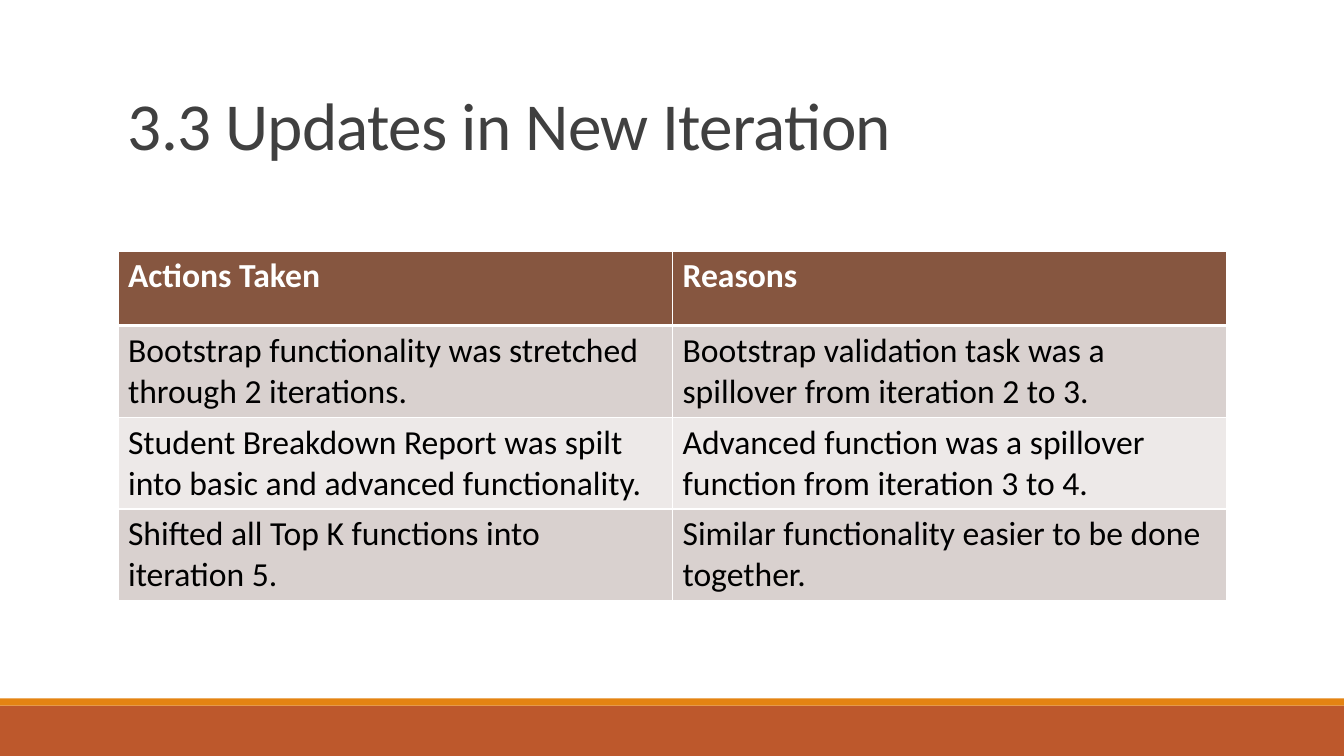
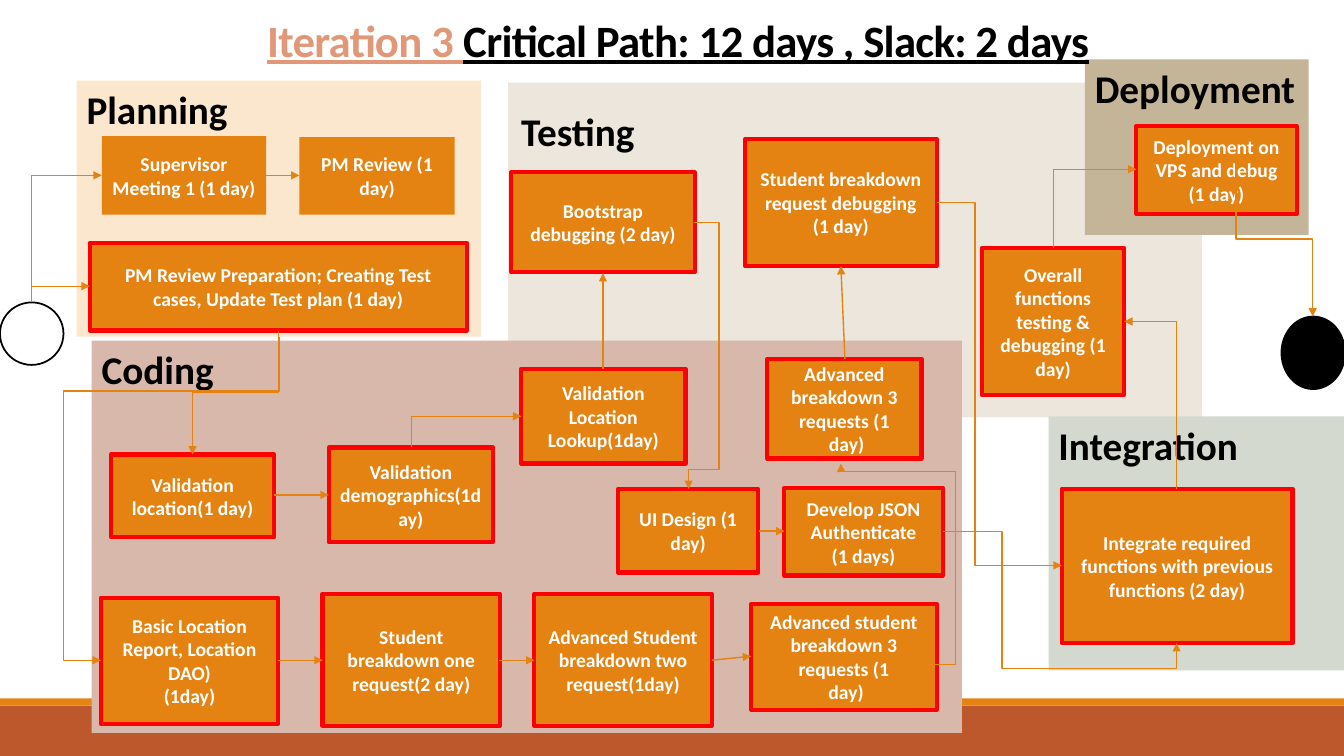
"""Build two project slides: an iteration update table and a critical path diagram."""
from dataclasses import dataclass
from math import copysign

from lxml.etree import SubElement
from pptx import Presentation
from pptx.dml.color import RGBColor
from pptx.enum.shapes import MSO_CONNECTOR, MSO_SHAPE
from pptx.enum.text import MSO_ANCHOR, PP_ALIGN
from pptx.oxml.ns import qn
from pptx.util import Inches, Pt


@dataclass(frozen=True)
class Theme:
    font: str = "Calibri"
    title: str = "404040"
    salmon: str = "E09878"
    rust: str = "BD582C"
    orange: str = "E48312"
    critical: str = "FF0000"
    brown: str = "865640"
    band_dark: str = "D9D1CF"
    band_light: str = "EDE9E8"
    planning: str = "FBE6CE"
    coding: str = "D7B8AB"
    testing: str = "ECE6DD"
    deployment: str = "C5B598"
    integration: str = "D4D9CF"
    black: str = "000000"
    white: str = "FFFFFF"
    title_size: int = 48
    path_title_size: int = 32
    zone_size: int = 28
    table_size: int = 24
    task_size: int = 14


T = Theme()


def write(tf, text, size, color=T.black, bold=False, underline=False, align=PP_ALIGN.LEFT,
          anchor=MSO_ANCHOR.TOP, leading=None, spacing=None):
    tf.word_wrap = True
    tf.vertical_anchor = anchor
    parts = [(text, color)] if isinstance(text, str) else text
    p = tf.paragraphs[0]
    for part, part_color in parts:
        for i, line in enumerate(part.split("\n")):
            if i:
                p = tf.add_paragraph()
            p.alignment = align
            p.line_spacing = leading
            r = p.add_run()
            r.text = line
            r.font.name = T.font
            r.font.size = Pt(size)
            r.font.bold = bold
            r.font.underline = underline
            r.font.color.rgb = RGBColor.from_string(part_color)
            if spacing:
                r.font._element.set("spc", str(int(spacing * 100)))


def add_box(slide, kind, at, fill, line=None, width=1.25):
    sp = slide.shapes.add_shape(kind, *map(Inches, at))
    sp.shadow.inherit = False
    sp.fill.solid()
    sp.fill.fore_color.rgb = RGBColor.from_string(fill)
    if line:
        sp.line.color.rgb = RGBColor.from_string(line)
        sp.line.width = Pt(width)
    else:
        sp.line.fill.background()
    return sp


prs = Presentation()
prs.slide_width, prs.slide_height = Inches(13.33), Inches(7.5)

slides = []
for _ in range(2):
    slide = prs.slides.add_slide(prs.slide_layouts[6])
    add_box(slide, MSO_SHAPE.RECTANGLE, (0, 7, 13.33, 0.5), T.rust)
    add_box(slide, MSO_SHAPE.RECTANGLE, (0, 6.93, 13.33, 0.07), T.orange)
    slides.append(slide)
updates, path_slide = slides

tb = updates.shapes.add_textbox(Inches(1.17), Inches(0.9), Inches(11), Inches(1.59))
write(tb.text_frame, "3.3 Updates in New Iteration", T.title_size, color=T.title,
      leading=0.85, spacing=-0.5)

rows = [
    ("Actions Taken", "Reasons"),
    ("Bootstrap functionality was stretched through 2 iterations.",
     "Bootstrap validation task was a spillover from iteration 2 to 3."),
    ("Student Breakdown Report was spilt into basic and advanced functionality.",
     "Advanced function was a spillover function from iteration 3 to 4."),
    ("Shifted all Top K functions into iteration 5.",
     "Similar functionality easier to be done together."),
]
table = updates.shapes.add_table(len(rows), 2, Inches(1.17), Inches(2.49),
                                 Inches(11), Inches(3.47)).table
for i, row in enumerate(rows):
    header = i == 0
    table.rows[i].height = Inches(0.74 if header else 0.91)
    fill = T.brown if header else (T.band_dark if i % 2 else T.band_light)
    for j, text in enumerate(row):
        cell = table.cell(i, j)
        write(cell.text_frame, text, T.table_size, bold=header,
              color=T.white if header else T.black)
        tcPr = cell._tc.get_or_add_tcPr()
        for side in "LRTB":
            thick = (header and side == "B") or (i == 1 and side == "T")
            ln = SubElement(tcPr, qn(f"a:ln{side}"), w=str(Pt(3 if thick else 1)))
            SubElement(SubElement(ln, qn("a:solidFill")), qn("a:srgbClr"), val=T.white)
        cell.fill.solid()
        cell.fill.fore_color.rgb = RGBColor.from_string(fill)

zones = [
    ("", (5.04, 0.82, 6.88, 3.32), T.testing),
    ("Planning", (0.76, 0.8, 4.01, 2.54), T.planning),
    ("Coding", (0.91, 3.38, 8.63, 3.89), T.coding),
    ("Deployment", (10.76, 0.59, 2.22, 1.74), T.deployment),
    ("Integration", (10.4, 4.13, 2.93, 2.52), T.integration),
]
for name, at, fill in zones:
    sp = add_box(path_slide, MSO_SHAPE.RECTANGLE, at, fill)
    if name:
        write(sp.text_frame, name, T.zone_size, bold=True)
tb = path_slide.shapes.add_textbox(Inches(5.07), Inches(1.02), Inches(2.63), Inches(0.57))
write(tb.text_frame, "Testing", T.zone_size, bold=True)

add_box(path_slide, MSO_SHAPE.OVAL, (0, 3, 0.63, 0.62), T.white, T.black)
add_box(path_slide, MSO_SHAPE.OVAL, (12.71, 3.14, 0.63, 0.72), T.black, T.black)

critical_tasks = [
    ("PM Review Preparation; Creating Test cases, Update Test plan (1 day)",
     (0.89, 2.41, 3.74, 0.87)),
    ("Validation location(1 day)", (1.1, 4.51, 1.62, 0.82)),
    ("Validation demographics(1day)", (3.26, 4.44, 1.63, 0.94)),
    ("Validation Location Lookup(1day)", (5.17, 3.66, 1.63, 0.94)),
    ("Basic Location Report, Location DAO)\n(1day)", (1, 5.93, 1.76, 1.25)),
    ("Student breakdown one request(2 day)", (3.2, 5.89, 1.76, 1.31)),
    ("Advanced Student breakdown two request(1day)", (5.3, 5.89, 1.76, 1.31)),
    ("Advanced student breakdown 3 requests (1\n day)", (7.45, 5.99, 1.84, 1.05)),
    ("Advanced breakdown 3 requests (1\n day)", (7.61, 3.56, 1.53, 0.99)),
    ("UI Design (1 day)", (6.13, 4.85, 1.39, 0.83)),
    ("Develop JSON Authenticate\n(1 days)", (7.78, 4.84, 1.57, 0.87)),
    ("Bootstrap debugging (2 day)", (5.07, 1.71, 1.82, 0.99)),
    ("Student breakdown request debugging (1 day)", (7.39, 1.38, 1.9, 1.26)),
    ("Overall functions testing & debugging (1 day)", (9.74, 2.46, 1.41, 1.46)),
    ("Integrate required functions with previous functions (2 day)",
     (10.53, 4.85, 2.29, 1.53)),
    ("Deployment on VPS and debug (1 day)", (11.27, 1.25, 1.59, 0.87)),
]
other_tasks = [
    ("Supervisor Meeting 1 (1 day)", (1.01, 1.35, 1.63, 0.78)),
    ("PM Review (1 day)", (2.97, 1.36, 1.54, 0.77)),
]
for tasks, line in ((critical_tasks, T.critical), (other_tasks, None)):
    for text, at in tasks:
        sp = add_box(path_slide, MSO_SHAPE.RECTANGLE, at, T.orange, line, 3)
        write(sp.text_frame, text, T.task_size, color=T.white, bold=True,
              align=PP_ALIGN.CENTER, anchor=MSO_ANCHOR.MIDDLE)

routes = [
    [(2.63, 1.74), (2.97, 1.74)],
    [(2.72, 4.91), (3.26, 4.91)],
    [(2.76, 6.55), (3.2, 6.55)],
    [(4.95, 6.55), (5.3, 6.55)],
    [(7.06, 6.55), (7.45, 6.51)],
    [(7.53, 5.27), (7.78, 5.27)],
    [(5.98, 3.66), (5.98, 2.71)],
    [(8.38, 3.56), (8.34, 2.64)],
    [(0.31, 3), (0.31, 2.84), (0.89, 2.84)],
    [(0.31, 3), (0.31, 1.74), (1.01, 1.74)],
    [(4.08, 4.44), (4.08, 4.13), (5.17, 4.13)],
    [(10.45, 2.46), (10.45, 1.68), (11.27, 1.68)],
    [(11.67, 4.85), (11.67, 3.19), (11.15, 3.19)],
    [(2.76, 3.28), (2.76, 3.89), (1.91, 3.89), (1.91, 4.51)],
    [(12.26, 1.6), (12.26, 2.37), (13.02, 2.37), (13.02, 3.14)],
    [(9.29, 2.01), (9.67, 2.01), (9.67, 5.61), (10.53, 5.61)],
    [(2.77, 3.34), (2.77, 3.88), (0.63, 3.88), (0.63, 6.55), (1, 6.55)],
    [(9.35, 5.27), (9.94, 5.27), (9.94, 6.63), (11.67, 6.63), (11.67, 6.38)],
    [(6.88, 2.21), (7.13, 2.21), (7.13, 4.66), (6.83, 4.66), (6.83, 4.85)],
    [(8.94, 6.59), (9.48, 6.59), (9.48, 4.68), (8.34, 4.68), (8.34, 4.6)],
]
for route in routes:
    (x1, y1), (x2, y2) = route[0], route[-1]
    dx, dy = x2 - x1, y2 - y1
    bends = route[1:-1]
    upright = bool(bends) and bends[0][0] == x1
    begin, end = (x1, y1), (x2, y2)
    if upright:
        cx, cy = (x1 + x2) / 2, (y1 + y2) / 2
        half_w, half_h = copysign(dy / 2, dx), copysign(dx / 2, dy)
        begin, end = (cx + half_w, cy - half_h), (cx - half_w, cy + half_h)
    kind = MSO_CONNECTOR.ELBOW if bends else MSO_CONNECTOR.STRAIGHT
    cn = path_slide.shapes.add_connector(kind, *map(Inches, begin + end))
    cn.line.color.rgb = RGBColor.from_string(T.orange)
    cn.line.width = Pt(1)
    spPr = cn._element.spPr
    SubElement(spPr.find(qn("a:ln")), qn("a:tailEnd"), type="triangle")
    SubElement(spPr, qn("a:effectLst"))
    if upright:
        spPr.find(qn("a:xfrm")).set("rot", str((270 if dx * dy > 0 else 90) * 60000))
    if bends:
        geom = spPr.find(qn("a:prstGeom"))
        geom.set("prst", f"bentConnector{len(bends) + 1}")
        for n, (x, y) in enumerate(bends[:-1]):
            share = (y - y1) / dy if upright == (n == 0) else (x - x1) / dx
            SubElement(geom.find(qn("a:avLst")), qn("a:gd"), name=f"adj{n + 1}",
                       fmla=f"val {round(share * 100000)}")

tb = path_slide.shapes.add_textbox(Inches(0.11), Inches(0.16), Inches(13.23), Inches(1.54))
write(tb.text_frame,
      [("Iteration 3 ", T.salmon), ("Critical Path: 12 days , Slack: 2 days", T.black)],
      T.path_title_size, bold=True, underline=True, align=PP_ALIGN.CENTER,
      leading=0.85, spacing=-0.5)

prs.save("out.pptx")
